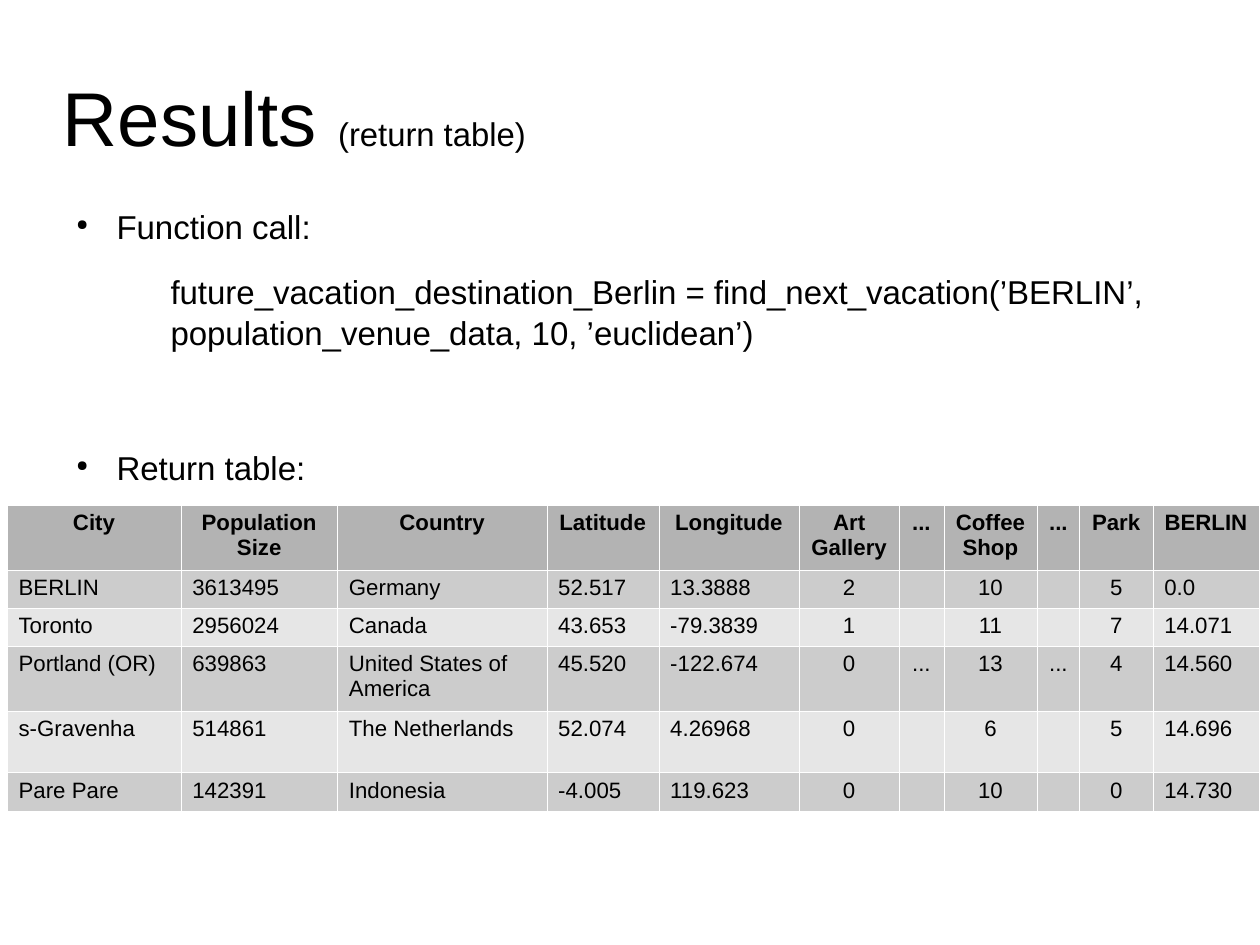
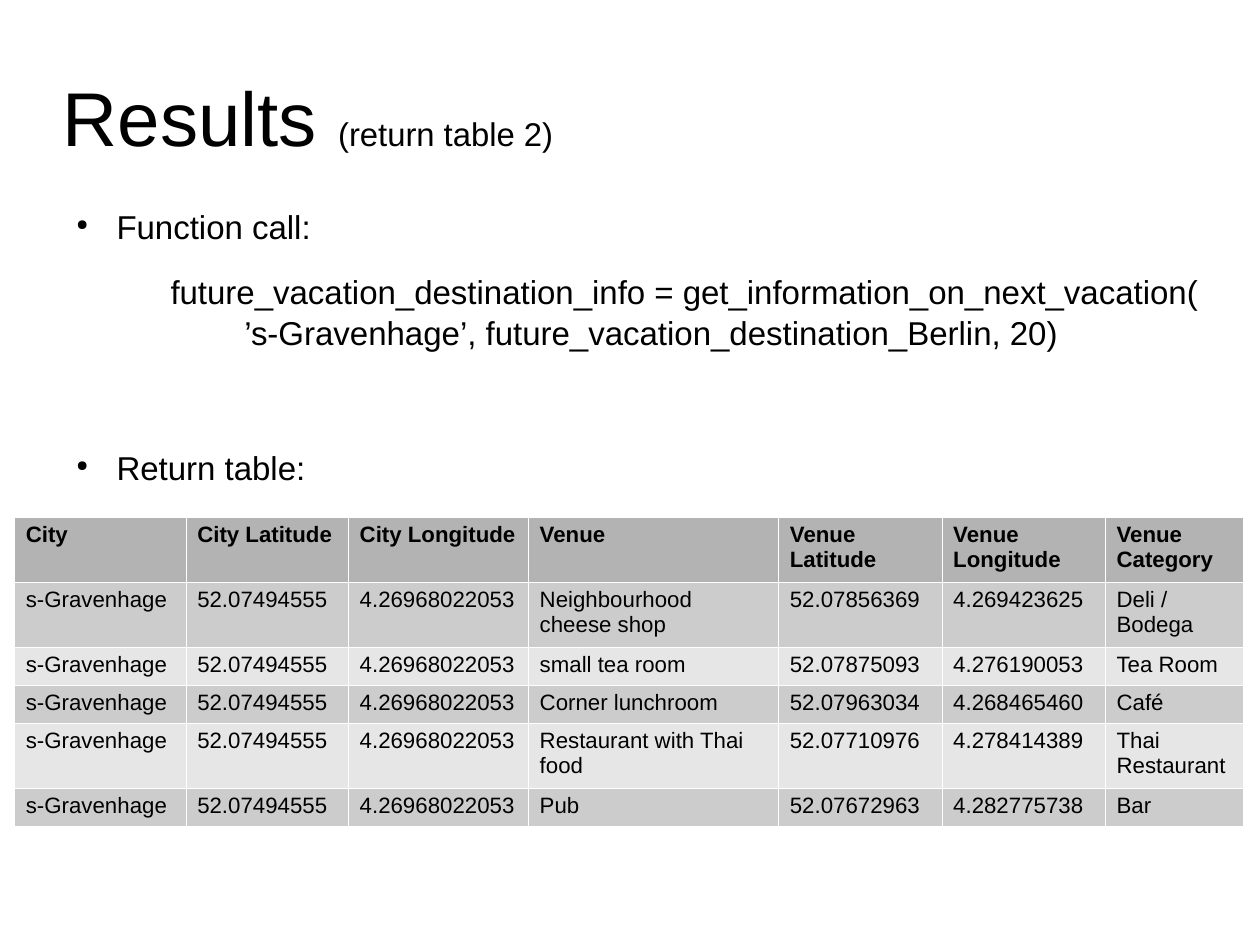
from dataclasses import dataclass

from lxml import etree
from pptx import Presentation
from pptx import util as u
from pptx.dml import color
from pptx.enum import text
from pptx.oxml import ns

# Shared look
FONT = "Arial"
INK, HEADER, DARK_BAND, LIGHT_BAND, RULE = "000000", "B3B3B3", "CCCCCC", "E6E6E6", "FFFFFF"
TITLE_SIZE, SUBTITLE_SIZE, BODY_SIZE, CELL_SIZE = 48, 20.7, 20.8, 14
RULE_WIDTH = u.Pt(0.06)
CENTER = text.PP_ALIGN.CENTER
LEFT = text.PP_ALIGN.LEFT
ONE_LINE, TWO_LINES = 0.81, 1.37
CODE_INDENT, CODE_INDENT_DEEP = 2.39, 4.03


@dataclass(frozen=True)
class ResultTable:
    left: float
    top: float
    widths: tuple[float, ...]
    heights: tuple[float, ...]
    rows: tuple[tuple[str, ...], ...]
    centered_columns: tuple[int, ...] = ()
    centered_header: bool = False


@dataclass(frozen=True)
class CodeLine:
    words: str
    indent: float = CODE_INDENT
    before: float = 15.1


@dataclass(frozen=True)
class ResultPage:
    subtitle: str
    code: tuple[CodeLine, ...]
    table: ResultTable


GRAVENHAGE = ("s-Gravenhage", "52.07494555", "4.26968022053")

PAGES = (
    ResultPage(
        "(return table)",
        (CodeLine("future_vacation_destination_Berlin = find_next_vacation(’BERLIN’, "
                  "population_venue_data, 10, ’euclidean’)"),),
        ResultTable(
            0.16, 11.22,
            (3.86, 3.48, 4.65, 2.49, 3.12, 2.22, 0.99, 2.08, 0.94, 1.63, 2.36),
            (TWO_LINES, ONE_LINE, ONE_LINE, TWO_LINES, TWO_LINES, 0.61),
            (
                ("City", "Population Size", "Country", "Latitude", "Longitude",
                 "Art Gallery", "...", "Coffee Shop", "...", "Park", "BERLIN"),
                ("BERLIN", "3613495", "Germany", "52.517", "13.3888",
                 "2", "", "10", "", "5", "0.0"),
                ("Toronto", "2956024", "Canada", "43.653", "-79.3839",
                 "1", "", "11", "", "7", "14.071"),
                ("Portland (OR)", "639863", "United States of America", "45.520", "-122.674",
                 "0", "...", "13", "...", "4", "14.560"),
                ("s-Gravenha", "514861", "The Netherlands", "52.074", "4.26968",
                 "0", "", "6", "", "5", "14.696"),
                ("Pare Pare", "142391", "Indonesia", "-4.005", "119.623",
                 "0", "", "10", "", "0", "14.730"),
            ),
            centered_columns=(5, 6, 7, 8, 9),
            centered_header=True,
        ),
    ),
    ResultPage(
        "(return table 2)",
        (CodeLine("future_vacation_destination_info = get_information_on_next_vacation("),
         CodeLine("’s-Gravenhage’, future_vacation_destination_Berlin, 20)",
                  CODE_INDENT_DEEP, 0)),
        ResultTable(
            0.32, 11.49,
            (3.81, 3.61, 4, 5.56, 3.63, 3.63, 3.07),
            (TWO_LINES, TWO_LINES, ONE_LINE, ONE_LINE, TWO_LINES, ONE_LINE),
            (
                ("City", "City Latitude", "City Longitude", "Venue",
                 "Venue Latitude", "Venue Longitude", "Venue Category"),
                (*GRAVENHAGE, "Neighbourhood cheese shop",
                 "52.07856369", "4.269423625", "Deli / Bodega"),
                (*GRAVENHAGE, "small tea room", "52.07875093", "4.276190053", "Tea Room"),
                (*GRAVENHAGE, "Corner lunchroom", "52.07963034", "4.268465460", "Café"),
                (*GRAVENHAGE, "Restaurant with Thai food",
                 "52.07710976", "4.278414389", "Thai Restaurant"),
                (*GRAVENHAGE, "Pub", "52.07672963", "4.282775738", "Bar"),
            ),
        ),
    ),
)


def rgb(value: str) -> color.RGBColor:
    return color.RGBColor.from_string(value)


def add_child(parent, tag: str, **attributes: str):
    return etree.SubElement(parent, ns.qn(tag), attributes)


# Text
def add_span(para, words: str, *, size: float, bold: bool = False) -> None:
    span = para.add_run()
    span.text = words
    span.font.name = FONT
    span.font.size = u.Pt(size)
    span.font.bold = bold
    span.font.color.rgb = rgb(INK)


def add_box(page, left: float, top: float, width: float, height: float, *,
            anchor=text.MSO_ANCHOR.TOP):
    frame = page.shapes.add_textbox(u.Cm(left), u.Cm(top), u.Cm(width), u.Cm(height)).text_frame
    frame.word_wrap = True
    frame.vertical_anchor = anchor
    frame.margin_left = frame.margin_top = frame.margin_right = frame.margin_bottom = 0
    return frame


def add_body_line(para, words: str, *, indent: float, before: float,
                  bullet: bool = False) -> None:
    para.line_spacing = 1.04
    para.space_before = u.Pt(before)
    properties = para._p.get_or_add_pPr()
    properties.set("marL", str(u.Cm(indent)))
    properties.set("indent", str(u.Cm(-0.89) if bullet else 0))
    if bullet:
        add_child(add_child(properties, "a:buClr"), "a:srgbClr", val=INK)
        add_child(properties, "a:buSzPct", val="45000")
        add_child(properties, "a:buChar", char="●")
    add_span(para, words, size=BODY_SIZE)


def add_title(page, subtitle: str) -> None:
    para = add_box(page, 1.4, 0.84, 25.2, 3.5, anchor=text.MSO_ANCHOR.MIDDLE).paragraphs[0]
    add_span(para, "Results ", size=TITLE_SIZE)
    add_span(para, subtitle, size=SUBTITLE_SIZE)


def add_body(page, code: tuple[CodeLine, ...]) -> None:
    frame = add_box(page, 1.4, 4.55, 26.04, 5.87)
    add_body_line(frame.paragraphs[0], "Function call:", indent=1.19, before=0, bullet=True)
    for line in code:
        add_body_line(frame.add_paragraph(), line.words, indent=line.indent, before=line.before)
    add_body_line(frame.add_paragraph(), "Return table:", indent=1.19, before=58.9, bullet=True)


# Table
def style_cell(cell, fill: str) -> None:
    properties = cell._tc.get_or_add_tcPr()
    for side in ("a:lnL", "a:lnR", "a:lnT", "a:lnB"):
        line = add_child(properties, side, w=str(RULE_WIDTH))
        add_child(add_child(line, "a:solidFill"), "a:srgbClr", val=RULE)
    cell.fill.solid()
    cell.fill.fore_color.rgb = rgb(fill)


def fill_cell(cell, words: str, *, bold: bool, align) -> None:
    para = cell.text_frame.paragraphs[0]
    para.alignment = align
    if words:
        add_span(para, words, size=CELL_SIZE, bold=bold)
    else:
        # Keeps an empty cell from stretching its row
        add_child(para._p, "a:endParaRPr", sz=str(CELL_SIZE * 100))


def add_result_table(page, result: ResultTable) -> None:
    table = page.shapes.add_table(
        len(result.rows), len(result.widths), u.Cm(result.left), u.Cm(result.top),
        u.Cm(sum(result.widths)), u.Cm(sum(result.heights))).table
    table.first_row = table.horz_banding = False
    for column, width in zip(table.columns, result.widths):
        column.width = u.Cm(width)
    for row, height in zip(table.rows, result.heights):
        row.height = u.Cm(height)
    for row_index, row in enumerate(result.rows):
        header = row_index == 0
        fill = HEADER if header else (LIGHT_BAND, DARK_BAND)[row_index % 2]
        for column_index, words in enumerate(row):
            centered = (column_index in result.centered_columns
                        or header and result.centered_header)
            cell = table.cell(row_index, column_index)
            style_cell(cell, fill)
            fill_cell(cell, words, bold=header, align=CENTER if centered else LEFT)


def main() -> None:
    deck = Presentation()
    deck.slide_width, deck.slide_height = u.Cm(28), u.Cm(21)
    for result in PAGES:
        page = deck.slides.add_slide(deck.slide_layouts[6])
        add_title(page, result.subtitle)
        add_result_table(page, result.table)
        add_body(page, result.code)
    deck.save("out.pptx")


if __name__ == "__main__":
    main()
